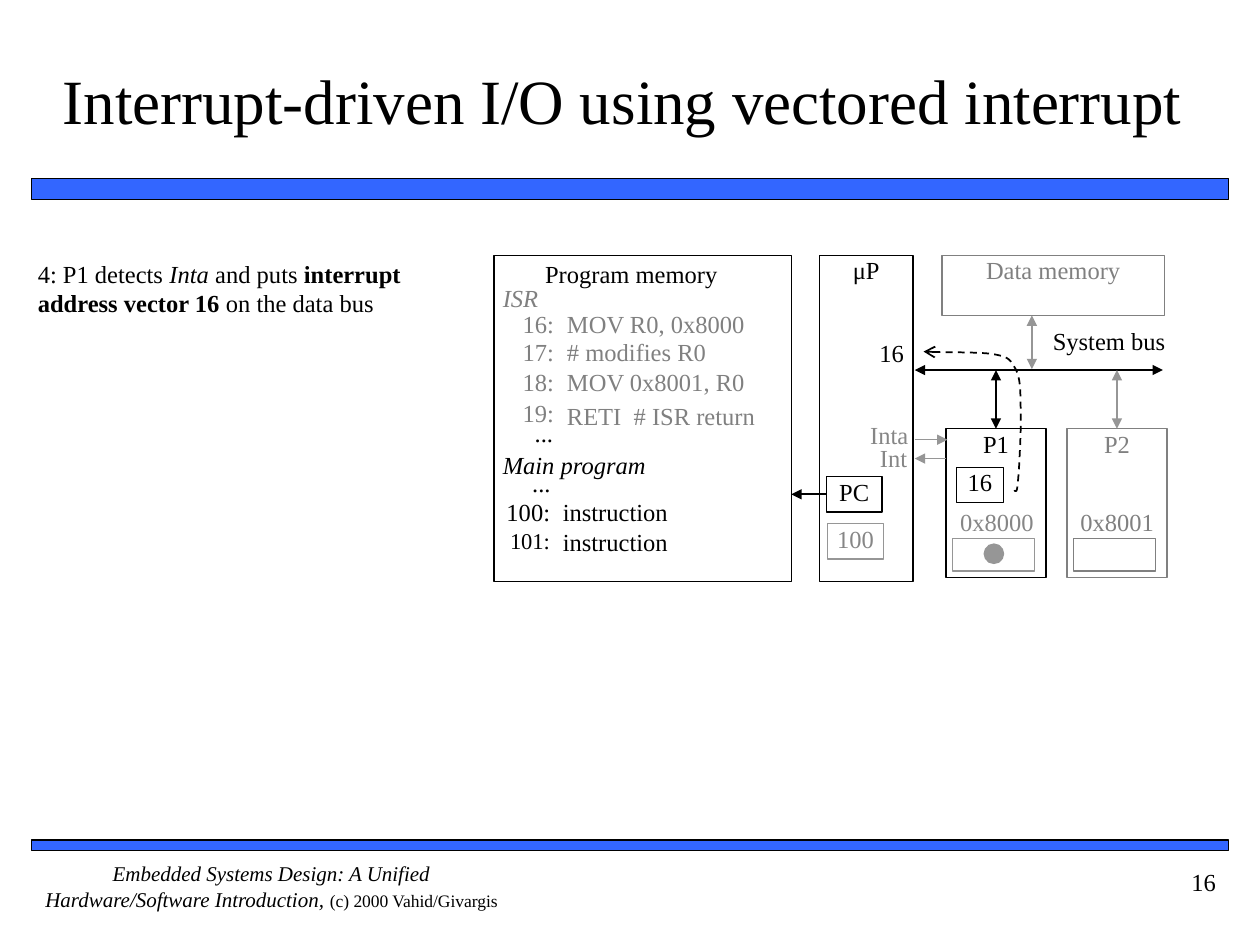
from lxml import etree
from pptx import Presentation
from pptx.dml.color import RGBColor
from pptx.enum.dml import MSO_LINE
from pptx.enum.shapes import MSO_CONNECTOR, MSO_SHAPE
from pptx.enum.text import MSO_ANCHOR, MSO_AUTO_SIZE, PP_ALIGN
from pptx.oxml.ns import qn
from pptx.util import Inches, Pt

LEFT, CENTER, RIGHT = PP_ALIGN.LEFT, PP_ALIGN.CENTER, PP_ALIGN.RIGHT
TOP, MIDDLE, NO_FIT = MSO_ANCHOR.TOP, MSO_ANCHOR.MIDDLE, MSO_AUTO_SIZE.NONE
RECT, OVAL, STRAIGHT = MSO_SHAPE.RECTANGLE, MSO_SHAPE.OVAL, MSO_CONNECTOR.STRAIGHT
DASH = MSO_LINE.DASH
BLACK, WHITE, BLUE, GRAY, MID, PALE = "000000", "FFFFFF", "3366FF", "808080", "868686", "969696"
rgb = RGBColor.from_string

prs = Presentation()
prs.slide_width, prs.slide_height = Inches(10), Inches(7.5)
COL, ROW = prs.slide_width / 100, prs.slide_height / 75
s = prs.slides.add_slide(prs.slide_layouts[5])


def write(sp, runs, align, color, size=14, anchor=TOP):
    tf = sp.text_frame
    frame = {"margin_left": 0, "margin_right": 0, "margin_top": 0, "margin_bottom": 0,
             "word_wrap": True, "auto_size": NO_FIT, "vertical_anchor": anchor}
    for name, value in frame.items():
        setattr(tf, name, value)
    p = tf.paragraphs[0]
    p.alignment = align
    for text, extra in runs:
        r = p.add_run()
        r.text = text
        fmt = {"name": "Times New Roman", "size": Pt(size), "bold": False, "italic": False} | extra
        for name, value in fmt.items():
            setattr(r.font, name, value)
        r.font.color.rgb = rgb(color)


def style_line(sp, color, width, **ends):
    sp.line.color.rgb = rgb(color)
    sp.line.width = Pt(width)
    ln = sp.line._get_or_add_ln()
    for end, kind in ends.items():
        etree.SubElement(ln, qn(f"a:{end}"), type=kind)


title = s.shapes.title
title.left, title.top = int(3.57 * COL), int(1.67 * ROW)
title.width, title.height = int(91.67 * COL), int(12.5 * ROW)
write(title, [("Interrupt-driven I/O using vectored interrupt", {})], CENTER, BLACK, 36, MIDDLE)

boxes = [
    ("header bar", RECT, 2.5, 14.17, 95, 1.67, BLUE, BLACK, 1, "", BLACK),
    ("footer bar", RECT, 2.5, 66.67, 95, 0.83, BLUE, BLACK, 1, "", BLACK),
    ("processor", RECT, 65.03, 20.26, 7.44, 25.87, WHITE, BLACK, 0.75, "μP", BLACK),
    ("P1", RECT, 75.08, 34.03, 7.94, 11.82, WHITE, BLACK, 0.75, "P1", BLACK),
    ("P2", RECT, 84.68, 34.03, 7.94, 11.82, WHITE, GRAY, 0.75, "P2", GRAY),
    ("P1 register", RECT, 75.6, 42.73, 6.5, 2.6, WHITE, PALE, 0.75, "", BLACK),
    ("P2 register", RECT, 85.2, 42.73, 6.5, 2.6, WHITE, GRAY, 0.75, "", BLACK),
    ("P1 data", OVAL, 78.13, 43.2, 1.5, 1.5, PALE, PALE, 1, "", BLACK),
    ("data memory", RECT, 74.76, 20.26, 17.66, 4.77, None, GRAY, 0.75, "Data memory", GRAY),
    ("program memory", RECT, 39.2, 20.26, 23.6, 25.87, WHITE, BLACK, 0.75, "", BLACK),
    ("PC", RECT, 65.6, 37.83, 4.4, 2.8, WHITE, BLACK, 0.75, "PC", BLACK),
    ("PC value", RECT, 65.7, 41.56, 4.4, 2.8, None, PALE, 0.75, "100", MID),
    ("P1 vector", RECT, 75.93, 37.1, 3.7, 2.8, None, BLACK, 0.75, "16", BLACK),
]
parts = {}
for name, kind, x, y, w, h, fill, line, width, text, color in boxes:
    sp = s.shapes.add_shape(kind, int(x * COL), int(y * ROW), int(w * COL), int(h * ROW))
    sp.shadow.inherit = False
    if fill:
        sp.fill.solid()
        sp.fill.fore_color.rgb = rgb(fill)
    else:
        sp.fill.background()
    style_line(sp, line, width)
    if text:
        write(sp, [(text, {})], CENTER, color)
    parts[name] = sp

labels = [
    ("System bus", CENTER, 82.77, 25.9, 10.5, BLACK, {}),
    ("16", CENTER, 69.27, 26.8, 3, BLACK, {}),
    ("Inta", RIGHT, 68.1, 33.3, 4, MID, {}),
    ("Int", RIGHT, 68.7, 35.2, 3.3, MID, {}),
    ("0x8000", CENTER, 75.67, 40.23, 6.9, MID, {}),
    ("0x8001", CENTER, 85.37, 40.23, 6.6, GRAY, {}),
    ("Program memory", LEFT, 43.26, 20.55, 16.1, BLACK, {}),
    ("ISR", LEFT, 39.9, 22.45, 5.1, GRAY, {"italic": True}),
    ("...", RIGHT, 40.9, 33.2, 3, BLACK, {}),
    ("Main program", LEFT, 39.9, 35.7, 13.8, BLACK, {"italic": True}),
    ("...", RIGHT, 40.7, 37.13, 3, BLACK, {}),
    ("100:", RIGHT, 38.67, 39.45, 5, BLACK, {}),
    ("101:", RIGHT, 38.65, 41.8, 5, BLACK, {"size": Pt(12.9)}),
    ("instruction", LEFT, 44.67, 39.45, 10.5, BLACK, {}),
    ("instruction", LEFT, 44.67, 41.8, 10.5, BLACK, {}),
    ("16", RIGHT, 88.5, 68.83, 8, BLACK, {}),
]
isr = [("16:", "MOV R0, 0x8000", 24.5, 24.5), ("17:", "# modifies R0", 26.75, 26.75),
       ("18:", "MOV 0x8001, R0", 29.15, 29.15), ("19:", "RETI  # ISR return", 31.6, 31.85)]
for number, code, y, code_y in isr:
    labels += [(number, RIGHT, 39.77, y, 4.2, GRAY, {}), (code, LEFT, 45, code_y, 18, GRAY, {})]
for text, align, x, y, w, color, fmt in labels:
    tb = s.shapes.add_textbox(int(x * COL), int(y * ROW), int(w * COL), int(2.6 * ROW))
    write(tb, [(text, fmt)], align, color)

step = s.shapes.add_textbox(int(3 * COL), int(20.54 * ROW), int(34 * COL), int(4.7 * ROW))
write(step, [("4: P1 detects ", {}), ("Inta ", {"italic": True}), ("and puts ", {}),
             ("interrupt address vector 16", {"bold": True}), (" on the data bus", {})], LEFT, BLACK)
footer = s.shapes.add_textbox(int(2.4 * COL), int(68.33 * ROW), int(38.3 * COL), int(5 * ROW))
write(footer, [("Embedded Systems Design: A Unified Hardware/Software Introduction, ", {"italic": True}),
               ("(c) 2000 Vahid/Givargis", {"size": Pt(10)})], CENTER, BLACK, 12)

BOTH = {"headEnd": "triangle", "tailEnd": "triangle"}
ONE = {"tailEnd": "triangle"}
arrows = [
    (72.6, 29.37, 92.3, 29.37, BLACK, 1.25, BOTH, None, None),
    (79.05, 29.37, 79.05, 34.03, BLACK, 1.25, BOTH, None, ("P1", 0)),
    (88.65, 29.37, 88.65, 34.03, PALE, 1.25, BOTH, None, ("P2", 0)),
    (81.9, 25.03, 81.9, 29.3, PALE, 1.25, BOTH, None, None),
    (65.6, 39.23, 62.8, 39.23, BLACK, 1.25, ONE, ("PC", 1), None),
    (72.6, 34.9, 75.2, 34.9, PALE, 0.75, ONE, None, None),
    (75.1, 36.4, 72.6, 36.4, PALE, 0.75, ONE, None, None),
]
for x1, y1, x2, y2, color, width, ends, start, stop in arrows:
    cn = s.shapes.add_connector(STRAIGHT, int(x1 * COL), int(y1 * ROW), int(x2 * COL), int(y2 * ROW))
    if start:
        cn.begin_connect(parts[start[0]], start[1])
    if stop:
        cn.end_connect(parts[stop[0]], stop[1])
    style_line(cn, color, width, **ends)
    etree.SubElement(cn._element.spPr, qn("a:effectLst"))

here = (80.5, 39)
curves = [((80.6, 38.8), (80.7, 39.4), (80.8, 38.2)), ((80.9, 37.1), (81.1, 33.5), (81, 32)),
          ((81, 30.5), (80.9, 29.7), (80.5, 29.1)), ((80.1, 28.4), (79.9, 28.3), (78.8, 28.1)),
          ((77.6, 27.9), (74.5, 28), (73.3, 27.9))]
STEPS = 8
points = []
for b, c, d in curves:
    for i in range(1, STEPS + 1):
        t = i / STEPS
        u = 1 - t
        points.append(tuple(u**3 * k0 + 3 * u * u * t * k1 + 3 * u * t * t * k2 + t**3 * k3
                            for k0, k1, k2, k3 in zip(here, b, c, d)))
    here = d
fb = s.shapes.build_freeform(int(80.5 * COL), int(39 * ROW))
fb.add_line_segments([(int(x * COL), int(y * ROW)) for x, y in points], close=False)
route = fb.convert_to_shape()
route.shadow.inherit = False
route.fill.background()
route.line.dash_style = DASH
style_line(route, BLACK, 1, tailEnd="arrow")

prs.save("out.pptx")
